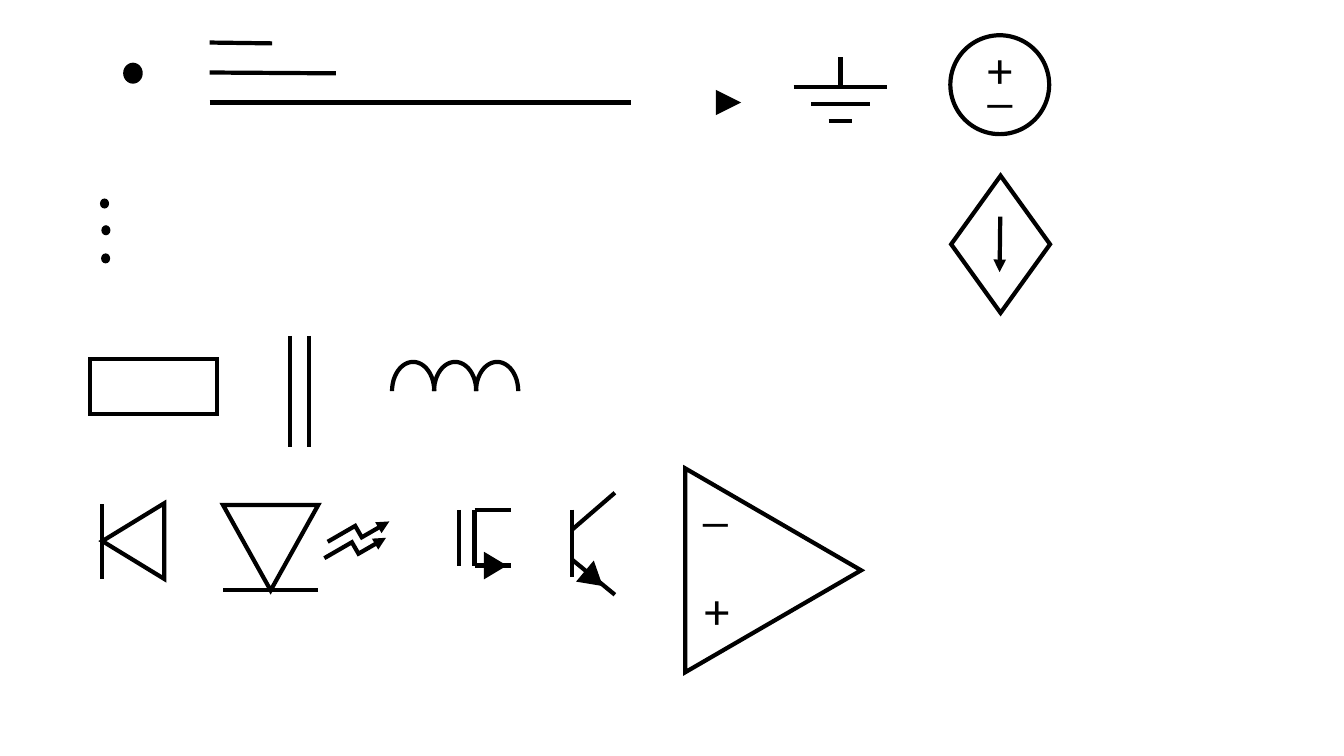
"""Build a slide of circuit diagram symbols."""
from dataclasses import dataclass
from typing import Union

from lxml import etree
from pptx import Presentation
from pptx.dml import color, line
from pptx.enum import shapes, text
from pptx.oxml import ns
from pptx.shapes import shapetree as tree
from pptx.util import Pt

COLOURS = {"ink": "000000", "paper": "FFFFFF"}
STROKE = 3
Kind = shapes.MSO_SHAPE
Canvas = Union[tree.SlideShapes, tree.GroupShapes]


@dataclass(frozen=True)
class Wire:
    """A straight line between two points."""
    x1: float
    y1: float
    x2: float
    y2: float
    arrow: bool = False
    weight: float = STROKE


@dataclass(frozen=True)
class Ray:
    """A bent arrow inside a turned frame."""
    left: float
    top: float
    width: float = 45.4
    height: float = 9.4
    turn: float = 330


@dataclass(frozen=True)
class Outline:
    """A preset shape with an optional fill and stroke."""
    kind: Kind
    left: float
    top: float
    width: float
    height: float
    turn: float = 0
    fill: str = ""
    stroked: bool = True


@dataclass(frozen=True)
class Sign:
    """A plus or minus sign."""
    mark: str
    left: float
    top: float


Part = Union[Wire, Ray, Outline, Sign]


def ink() -> color.RGBColor:
    """Return the drawing colour."""
    return color.RGBColor.from_string(COLOURS["ink"])


def set_stroke(stroke: line.LineFormat, weight: float) -> None:
    """Colour a line and set its weight."""
    stroke.color.rgb = ink()
    stroke.width = Pt(weight)


def finish_connector(connector, weight: float, arrow: bool) -> None:
    """Style a connector and remove its shadow."""
    set_stroke(connector.line, weight)
    properties = connector._element.spPr
    stroke = properties.find(ns.qn("a:ln"))
    etree.SubElement(stroke, ns.qn("a:miter"), lim="800000")
    if arrow:
        etree.SubElement(stroke, ns.qn("a:tailEnd"), type="triangle")
    etree.SubElement(properties, ns.qn("a:effectLst"))


def draw_wire(canvas: Canvas, wire: Wire) -> None:
    """Draw a straight wire."""
    ends = [Pt(value) for value in (wire.x1, wire.y1, wire.x2, wire.y2)]
    connector = canvas.add_connector(shapes.MSO_CONNECTOR.STRAIGHT, *ends)
    finish_connector(connector, wire.weight, wire.arrow)


def draw_ray(canvas: Canvas, ray: Ray) -> None:
    """Draw a light ray."""
    connector = canvas.add_connector(
        shapes.MSO_CONNECTOR.ELBOW, Pt(ray.left), Pt(ray.top),
        Pt(ray.left + ray.width), Pt(ray.top + ray.height))
    connector.rotation = ray.turn
    finish_connector(connector, STROKE, True)


def draw_outline(canvas: Canvas, outline: Outline) -> None:
    """Draw a preset shape."""
    shape = canvas.add_shape(outline.kind, Pt(outline.left), Pt(outline.top),
                             Pt(outline.width), Pt(outline.height))
    shape.rotation = outline.turn
    shape.shadow.inherit = False
    if outline.kind == Kind.ARC:
        shape.adjustments[0] = 108
        shape.adjustments[1] = 0
    if outline.fill:
        shape.fill.solid()
        shape.fill.fore_color.rgb = color.RGBColor.from_string(COLOURS[outline.fill])
    else:
        shape.fill.background()
    if outline.stroked:
        set_stroke(shape.line, STROKE)
        stroke = shape._element.spPr.find(ns.qn("a:ln"))
        etree.SubElement(stroke, ns.qn("a:miter"), lim="800000")
    else:
        shape.line.fill.background()


def draw_sign(canvas: Canvas, sign: Sign) -> None:
    """Write a polarity sign."""
    box = canvas.add_textbox(Pt(sign.left), Pt(sign.top), Pt(32.4), Pt(51))
    frame = box.text_frame
    frame.text = sign.mark
    frame.word_wrap = False
    frame.auto_size = text.MSO_AUTO_SIZE.SHAPE_TO_FIT_TEXT
    font = frame.paragraphs[0].runs[0].font
    font.name = "Calibri"
    font.size = Pt(36)
    font.color.rgb = ink()


DRAWERS = {Wire: draw_wire, Ray: draw_ray, Outline: draw_outline, Sign: draw_sign}


def ground() -> list[Part]:
    """Return a stem over three shrinking bars."""
    middle, top = 600.4, 62.4
    halves = [(33.5 - 12.5 * step, top + 12 * step) for step in range(3)]
    return [Wire(middle, top, middle, 40.6)] + [
        Wire(middle - half, y, middle + half, y) for half, y in halves]


DIODE: list[Part] = [
    Outline(Kind.ISOSCELES_TRIANGLE, 68.2, 364.4, 54, 44.2, 270),
    Wire(73, 413.5, 73, 360)]
CAPACITOR: list[Part] = [Wire(x, 240, x, 319.2) for x in (207, 221)]
RESISTOR: list[Part] = [Outline(Kind.RECTANGLE, 64.5, 256.5, 90.5, 39.5)]
MOSFET: list[Part] = [
    Wire(327.8, 364.2, 327.8, 404), Wire(339, 364.2, 339, 404),
    Wire(339, 404, 365, 404), Wire(339, 364.2, 365, 364.2),
    Outline(Kind.ISOSCELES_TRIANGLE, 346, 398, 14.4, 12, 90, "ink")]
NODE: list[Part] = [Outline(Kind.OVAL, 88, 44.8, 14, 15, fill="ink", stroked=False)]
LED: list[Part] = [
    Outline(Kind.ISOSCELES_TRIANGLE, 159.3, 360.7, 68, 61, 180),
    Wire(227.3, 421.4, 159.3, 421.4),
    Ray(233.4, 375), Ray(231, 386.7)]
INDUCTOR: list[Part] = [Outline(Kind.ARC, 280 + 30 * turn, 258.5, 30.2, 41.8)
                        for turn in range(3)]
ARROWHEAD: list[Part] = [Wire(522.2, 73.2, 529.4, 73.2, True, 6)]
AMPLIFIER: list[Part] = [
    Outline(Kind.ISOSCELES_TRIANGLE, 479.5, 344.6, 145.6, 125.6, 90),
    Sign("+", 496, 410), Sign("_", 495, 332.3)]
ELLIPSIS: list[Part] = [
    Outline(Kind.OVAL, x, y, 6.5, 7.2, fill="ink", stroked=False)
    for x, y in ((71.4, 141.8), (72.4, 160.9), (72.2, 181))]
BIPOLAR_TRANSISTOR: list[Part] = [
    Wire(408.5, 378.5, 439.2, 352), Wire(408.5, 364, 408.5, 412.5),
    Wire(408.5, 399.6, 439.2, 424.8),
    Outline(Kind.ISOSCELES_TRIANGLE, 416.4, 406.7, 14.4, 12.2, 130.1, "ink")]
VOLTAGE_SOURCE: list[Part] = [
    Outline(Kind.OVAL, 678.8, 25.2, 70.6, 70.6, fill="paper"),
    Sign("+", 698.2, 24), Sign("_", 698.2, 33.3)]
CURRENT_SOURCE: list[Part] = [
    Outline(Kind.DIAMOND, 679.4, 125.5, 70.6, 98),
    Wire(714.5, 154.8, 714, 194.4, True)]
SYMBOLS = [DIODE, CAPACITOR, RESISTOR, ground(), MOSFET, NODE, LED, INDUCTOR,
           ARROWHEAD, AMPLIFIER, ELLIPSIS, BIPOLAR_TRANSISTOR, VOLTAGE_SOURCE,
           CURRENT_SOURCE]
WIRES = [Wire(149.8, y, 149.8 + length, y + slope)
         for y, length, slope in ((30.4, 44.6, 0.6), (51.8, 90.2, 0.6), (73.2, 301, 0))]


def main() -> None:
    """Draw every symbol and save the deck."""
    deck = Presentation()
    deck.slide_width, deck.slide_height = Pt(960), Pt(540)
    page = deck.slides.add_slide(deck.slide_layouts[6])
    for parts in SYMBOLS:
        grouped = len(parts) > 1
        canvas = page.shapes.add_group_shape().shapes if grouped else page.shapes
        for part in parts:
            DRAWERS[type(part)](canvas, part)
    for wire in WIRES:
        draw_wire(page.shapes, wire)
    deck.save("out.pptx")


if __name__ == "__main__":
    main()
